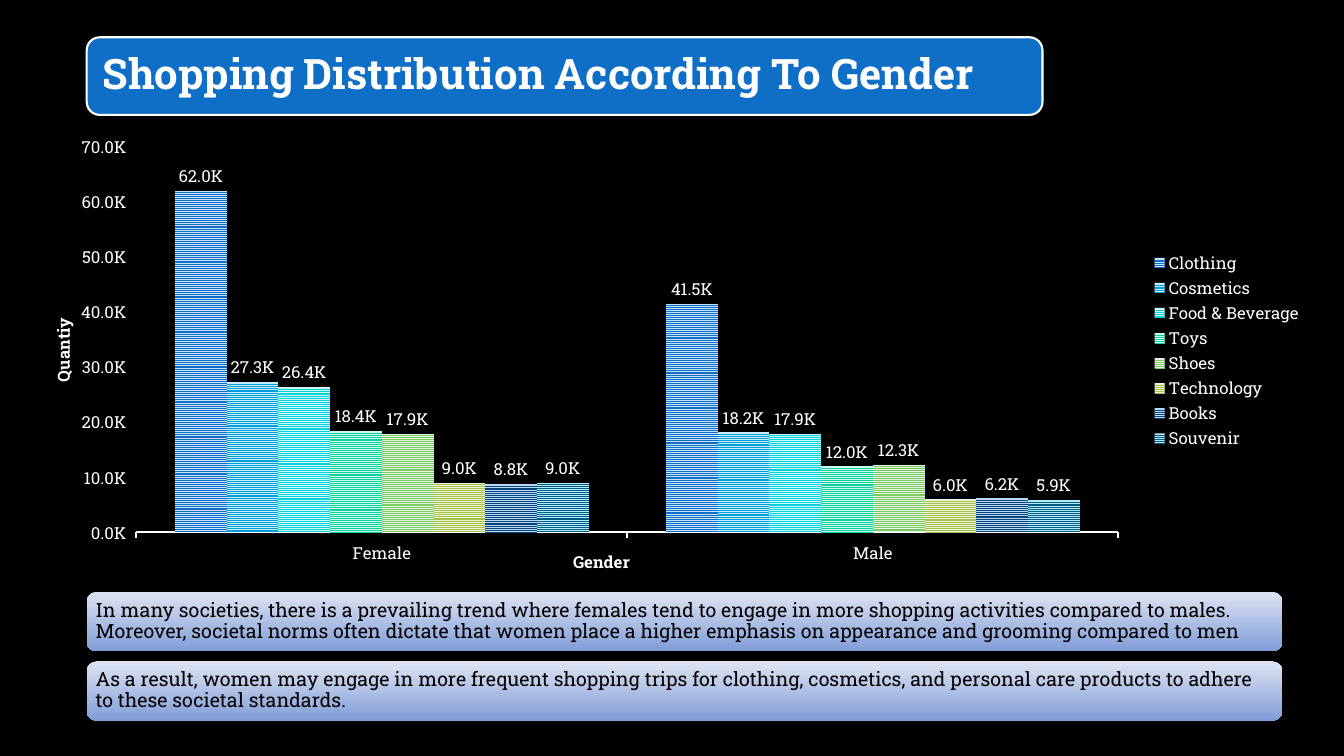
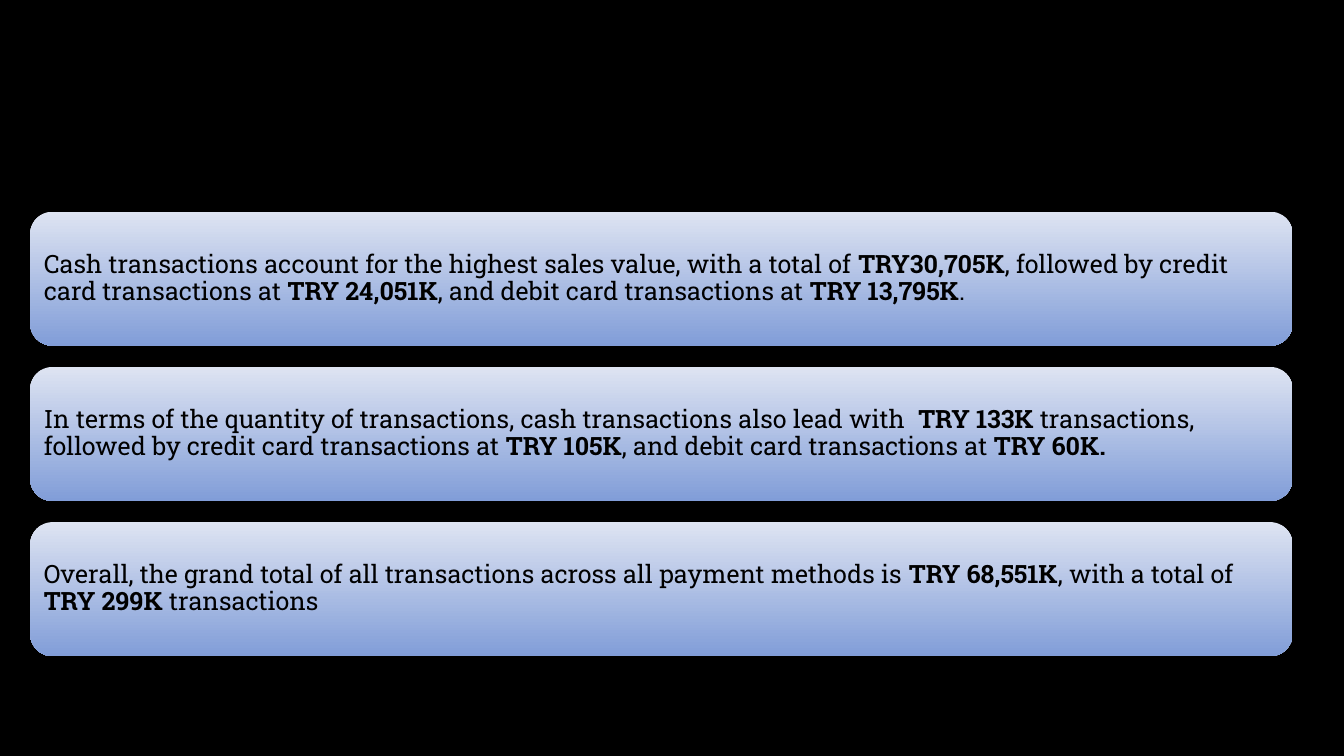
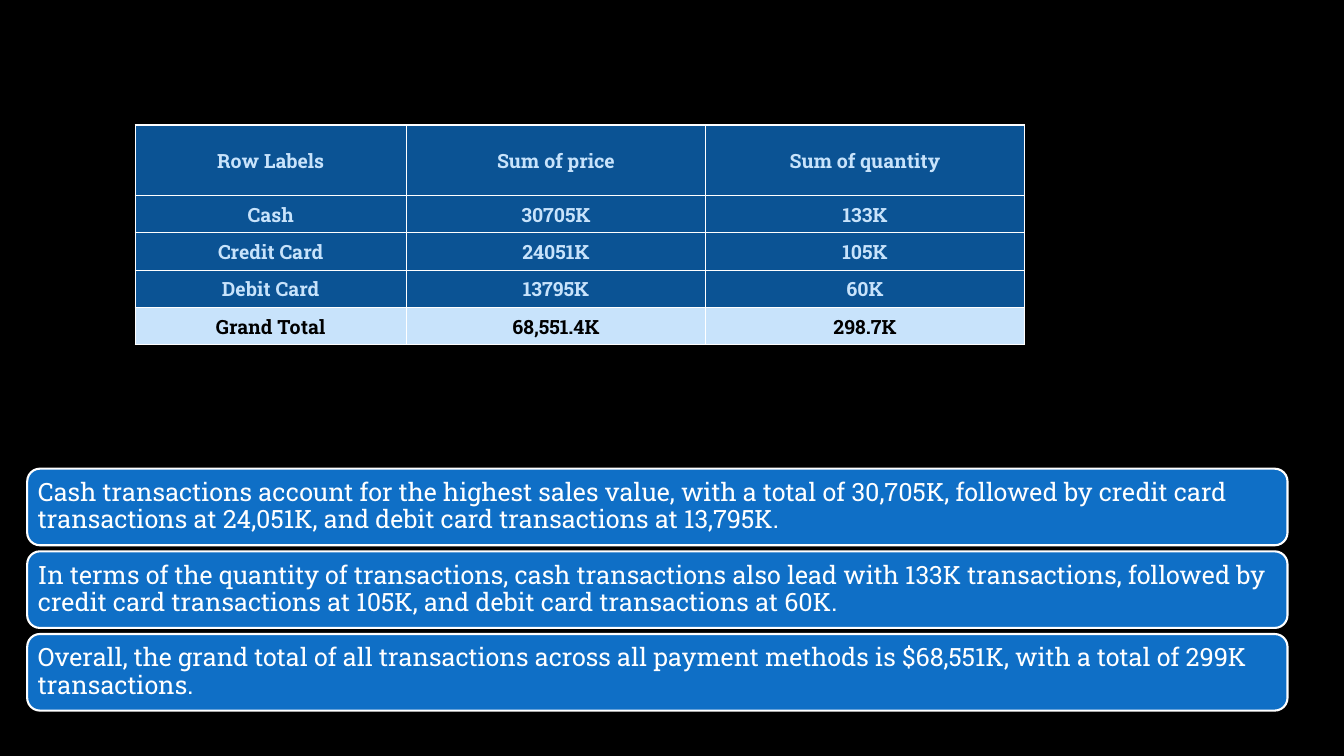
import dataclasses

import pptx
import pptx.chart.data
import pptx.dml.color
import pptx.enum.chart
import pptx.enum.dml
import pptx.enum.shapes
import pptx.enum.text
import pptx.oxml
import pptx.oxml.ns
import pptx.util

Inches = pptx.util.Inches
Pt = pptx.util.Pt
qn = pptx.oxml.ns.qn


def rgb(value):
    return pptx.dml.color.RGBColor.from_string(value)


@dataclasses.dataclass(frozen=True)
class Theme:
    font: str = "Roboto Slab"
    black: str = "000000"
    white: str = "FFFFFF"
    blue: str = "0F6FC6"
    navy: str = "0B5394"
    ice: str = "C8E3FB"
    mist: str = "DEE4F2"
    lavender: str = "819DD8"
    title: int = 30
    card: int = 18
    note: int = 14
    table: int = 14
    chart: int = 12
    outline: float = 1.5
    leading: float = 0.9


class Builder:
    def __init__(self, theme):
        self.theme = theme
        self.page = None
        self.deck = pptx.Presentation()
        self.deck.slide_width = Inches(13.33)
        self.deck.slide_height = Inches(7.5)
        backdrop = self.deck.slide_master.background.fill
        backdrop.solid()
        backdrop.fore_color.rgb = rgb(theme.black)

    def new_page(self, layout):
        self.page = self.deck.slides.add_slide(self.deck.slide_layouts.get_by_name(layout))

    def style(self, font, size, color, bold=False):
        font.name = self.theme.font
        font.size = Pt(size)
        font.color.rgb = rgb(color)
        font.bold = bold

    def fill_text(self, frame, text, size, color, inset, bold=False):
        frame.word_wrap = True
        frame.auto_size = pptx.enum.text.MSO_AUTO_SIZE.NONE
        frame.vertical_anchor = pptx.enum.text.MSO_ANCHOR.MIDDLE
        frame.margin_left = frame.margin_right = Inches(inset)
        frame.margin_top = frame.margin_bottom = Inches(inset)
        para = frame.paragraphs[0]
        para.alignment = pptx.enum.text.PP_ALIGN.LEFT
        para.line_spacing = self.theme.leading
        para.space_before = Pt(0)
        for index, part in enumerate(text.split("**")):
            if part:
                span = para.add_run()
                span.text = part
                self.style(span.font, size, color, bold or index % 2 == 1)

    def panel(self, left, top, width, height, gradient=False):
        box = self.page.shapes.add_shape(
            pptx.enum.shapes.MSO_SHAPE.ROUNDED_RECTANGLE,
            Inches(left), Inches(top), Inches(width), Inches(height))
        box.shadow.inherit = False
        if gradient:
            box.fill.gradient()
            box.fill.gradient_angle = 270
            for stop, color in zip(box.fill.gradient_stops, (self.theme.mist, self.theme.lavender)):
                stop.color.rgb = rgb(color)
            box.line.fill.background()
        else:
            box.fill.solid()
            box.fill.fore_color.rgb = rgb(self.theme.blue)
            box.line.color.rgb = rgb(self.theme.white)
            box.line.width = Pt(self.theme.outline)
        return box

    def title(self, text):
        self.panel(0.86, 0.37, 9.48, 0.77)
        box = self.page.shapes.title
        box.left, box.top, box.width, box.height = map(Inches, (0.9, 0.41, 9.41, 0.69))
        self.page.shapes._spTree.append(box._element)
        self.fill_text(box.text_frame, text, self.theme.title, self.theme.white, 0.12, bold=True)

    def cards(self, texts, left, top, width, height, step, size, inset, gradient):
        color = self.theme.black if gradient else self.theme.white
        for index, text in enumerate(texts):
            box = self.panel(left, top + index * step, width, height, gradient)
            self.fill_text(box.text_frame, text, size, color, inset)

    def place(self, parent, index, x, y, w=None, h=None, inner=False):
        for old in parent.findall(qn("c:layout")):
            parent.remove(old)
        target = '<c:layoutTarget val="inner"/>' if inner else ""
        modes = '<c:xMode val="edge"/><c:yMode val="edge"/>'
        values = "".join(f'<c:{name} val="{value}"/>'
                         for name, value in zip("xywh", (x, y, w, h)) if value is not None)
        parent.insert(index, pptx.oxml.parse_xml(
            f'<c:layout {pptx.oxml.ns.nsdecls("c")}><c:manualLayout>'
            f'{target}{modes}{values}</c:manualLayout></c:layout>'))

    def axis_title(self, axis, text, x, y):
        axis.has_title = True
        span = axis.axis_title.text_frame.paragraphs[0].add_run()
        span.text = text
        self.style(span.font, self.theme.chart, self.theme.white, True)
        self.place(axis.axis_title._element, 1, x, y)

    def column_chart(self, left, top, width, height, categories, series):
        theme = self.theme
        number_format = "#,##0.0,\\K"
        data = pptx.chart.data.CategoryChartData()
        data.categories = categories
        for name, values, *_ in series:
            data.add_series(name, values)
        chart = self.page.shapes.add_chart(
            pptx.enum.chart.XL_CHART_TYPE.COLUMN_CLUSTERED,
            Inches(left), Inches(top), Inches(width), Inches(height), data).chart
        chart.has_title = False
        self.style(chart.font, theme.chart, theme.white)

        plot = chart.plots[0]
        plot.gap_width = 150
        plot.overlap = 0
        plot.vary_by_categories = False
        for bars, (_, _, front, back) in zip(plot.series, series):
            fill = bars.format.fill
            fill.patterned()
            fill.pattern = pptx.enum.dml.MSO_PATTERN.NARROW_HORIZONTAL
            fill.fore_color.rgb = rgb(front)
            fill.back_color.rgb = rgb(back)
            labels = bars.data_labels
            labels.show_value = True
            labels.position = pptx.enum.chart.XL_LABEL_POSITION.OUTSIDE_END
            labels.number_format = number_format
            labels.number_format_is_linked = False
            self.style(labels.font, theme.chart, theme.white)

        for axis in (chart.category_axis, chart.value_axis):
            axis.has_major_gridlines = False
            axis.major_tick_mark = pptx.enum.chart.XL_TICK_MARK.OUTSIDE
            self.style(axis.tick_labels.font, theme.chart, theme.white)
        chart.category_axis.format.line.color.rgb = rgb(theme.white)
        chart.category_axis.format.line.width = Pt(theme.outline)
        value_axis = chart.value_axis
        value_axis.format.line.fill.background()
        value_axis.minimum_scale = 0
        value_axis.maximum_scale = 70000
        value_axis.major_unit = 10000
        value_axis.tick_labels.number_format = number_format
        value_axis.tick_labels.number_format_is_linked = False
        self.axis_title(chart.category_axis, "Gender", 0.42, 0.94)
        self.axis_title(value_axis, "Quantiy", 0.01, 0.42)

        chart.has_legend = True
        legend = chart.legend
        legend.position = pptx.enum.chart.XL_LEGEND_POSITION.RIGHT
        legend.include_in_layout = False
        self.style(legend.font, theme.chart, theme.white)
        self.place(legend._element, 1, 0.87, 0.27, 0.13, 0.46)
        area = chart._chartSpace.find(".//" + qn("c:plotArea"))
        self.place(area, 0, 0.08, 0.04, 0.77, 0.87, inner=True)

    def border(self, cell):
        properties = cell._tc.get_or_add_tcPr()
        for index, side in enumerate("LRTB"):
            properties.insert(index, pptx.oxml.parse_xml(
                f'<a:ln{side} {pptx.oxml.ns.nsdecls("a")} w="{Pt(1)}"><a:solidFill>'
                f'<a:srgbClr val="{self.theme.white}"/></a:solidFill></a:ln{side}>'))

    def table(self, left, top, widths, heights, rows):
        theme = self.theme
        table = self.page.shapes.add_table(
            len(rows), len(widths), Inches(left), Inches(top),
            Inches(sum(widths)), Inches(sum(heights))).table
        for column, width in zip(table.columns, widths):
            column.width = Inches(width)
        for row, height in zip(table.rows, heights):
            row.height = Inches(height)
        for row_index, texts in enumerate(rows):
            total = row_index == len(rows) - 1
            for column_index, text in enumerate(texts):
                cell = table.cell(row_index, column_index)
                cell.fill.solid()
                cell.fill.fore_color.rgb = rgb(theme.ice if total else theme.navy)
                cell.vertical_anchor = pptx.enum.text.MSO_ANCHOR.MIDDLE
                cell.margin_left = cell.margin_right = cell.margin_top = Inches(0.01)
                cell.margin_bottom = 0
                para = cell.text_frame.paragraphs[0]
                para.alignment = pptx.enum.text.PP_ALIGN.CENTER
                span = para.add_run()
                span.text = text
                self.style(span.font, theme.table, theme.black if total else theme.ice, True)
                self.border(cell)


def gender_page(builder):
    builder.new_page("Title Only")
    builder.title("Shopping Distribution According To Gender")
    builder.column_chart(0.34, 1.28, 12.65, 4.45, ("Female", "Male"), (
        ("Clothing", (62000, 41500), "0F6FC6", "C8E3FB"),
        ("Cosmetics", (27300, 18200), "009DD9", "C4EFFF"),
        ("Food & Beverage", (26400, 17900), "0BD0D9", "C9FAFC"),
        ("Toys", (18400, 12000), "10CF9B", "CAFBED"),
        ("Shoes", (17900, 12300), "7CCA62", "E5F4E0"),
        ("Technology", (9000, 6000), "A5C249", "EDF3DB"),
        ("Books", (8800, 6200), "094377", "B8DAFA"),
        ("Souvenir", (9000, 5900), "005E82", "B3EAFF")))
    builder.cards((
        "In many societies, there is a prevailing trend where females tend to engage in more "
        "shopping activities compared to males. Moreover, societal norms often dictate that "
        "women place a higher emphasis on appearance and grooming compared to men",
        "As a result, women may engage in more frequent shopping trips for clothing, cosmetics, "
        "and personal care products to adhere to these societal standards."),
        0.86, 5.87, 11.86, 0.59, 0.69, builder.theme.note, 0.06, gradient=True)


def payment_summary_page(builder):
    builder.new_page("Blank")
    builder.cards((
        "Cash transactions account for the highest sales value, with a total of **TRY30,705K**, "
        "followed by credit card transactions at **TRY 24,051K**, and debit card transactions "
        "at **TRY 13,795K**.",
        "In terms of the quantity of transactions, cash transactions also lead with  **TRY 133K "
        "**transactions, followed by credit card transactions at** TRY 105K**, and debit card "
        "transactions at **TRY 60K.**",
        "Overall, the grand total of all transactions across all payment methods is "
        "**TRY 68,551K**, with a total of **TRY 299K **transactions"),
        0.3, 2.1, 12.52, 1.33, 1.54, builder.theme.card, 0.07, gradient=True)


def payment_table_page(builder):
    builder.new_page("Blank")
    builder.cards((
        "Cash transactions account for the highest sales value, with a total of 30,705K, "
        "followed by credit card transactions at 24,051K, and debit card transactions at 13,795K.",
        "In terms of the quantity of transactions, cash transactions also lead with 133K "
        "transactions, followed by credit card transactions at 105K, and debit card "
        "transactions at 60K.",
        "Overall, the grand total of all transactions across all payment methods is $68,551K, "
        "with a total of 299K transactions."),
        0.27, 4.65, 12.5, 0.76, 0.82, builder.theme.card, 0.07, gradient=False)
    builder.table(1.34, 1.24, (2.69, 2.97, 3.16), (0.7,) + (0.37,) * 4, (
        ("Row Labels", "Sum of price", "Sum of quantity"),
        ("Cash", "30705K", "133K"),
        ("Credit Card", "24051K", "105K"),
        ("Debit Card", "13795K", "60K"),
        ("Grand Total", "68,551.4K", "298.7K")))


def main():
    builder = Builder(Theme())
    gender_page(builder)
    payment_summary_page(builder)
    payment_table_page(builder)
    builder.deck.save("out.pptx")


if __name__ == "__main__":
    main()
